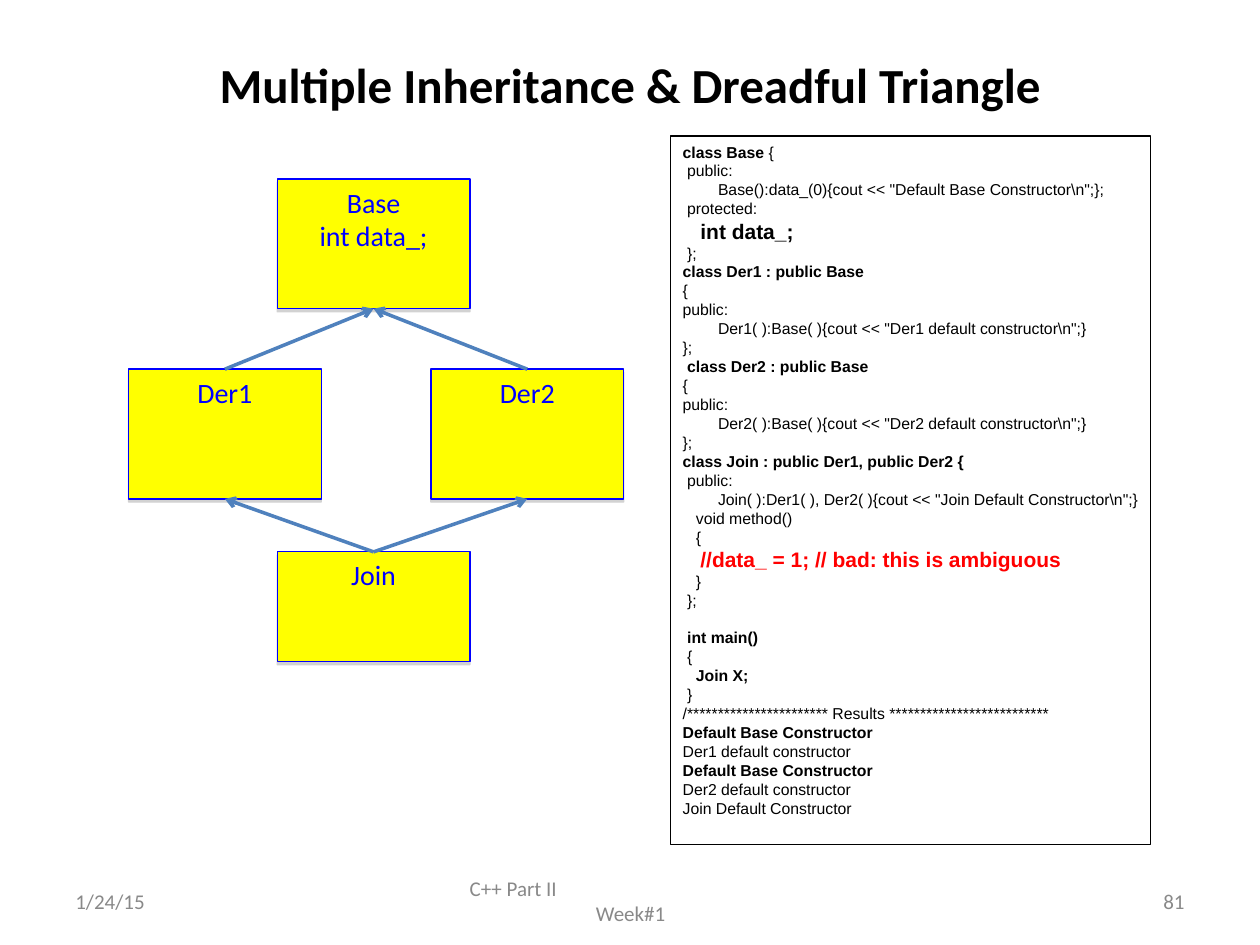
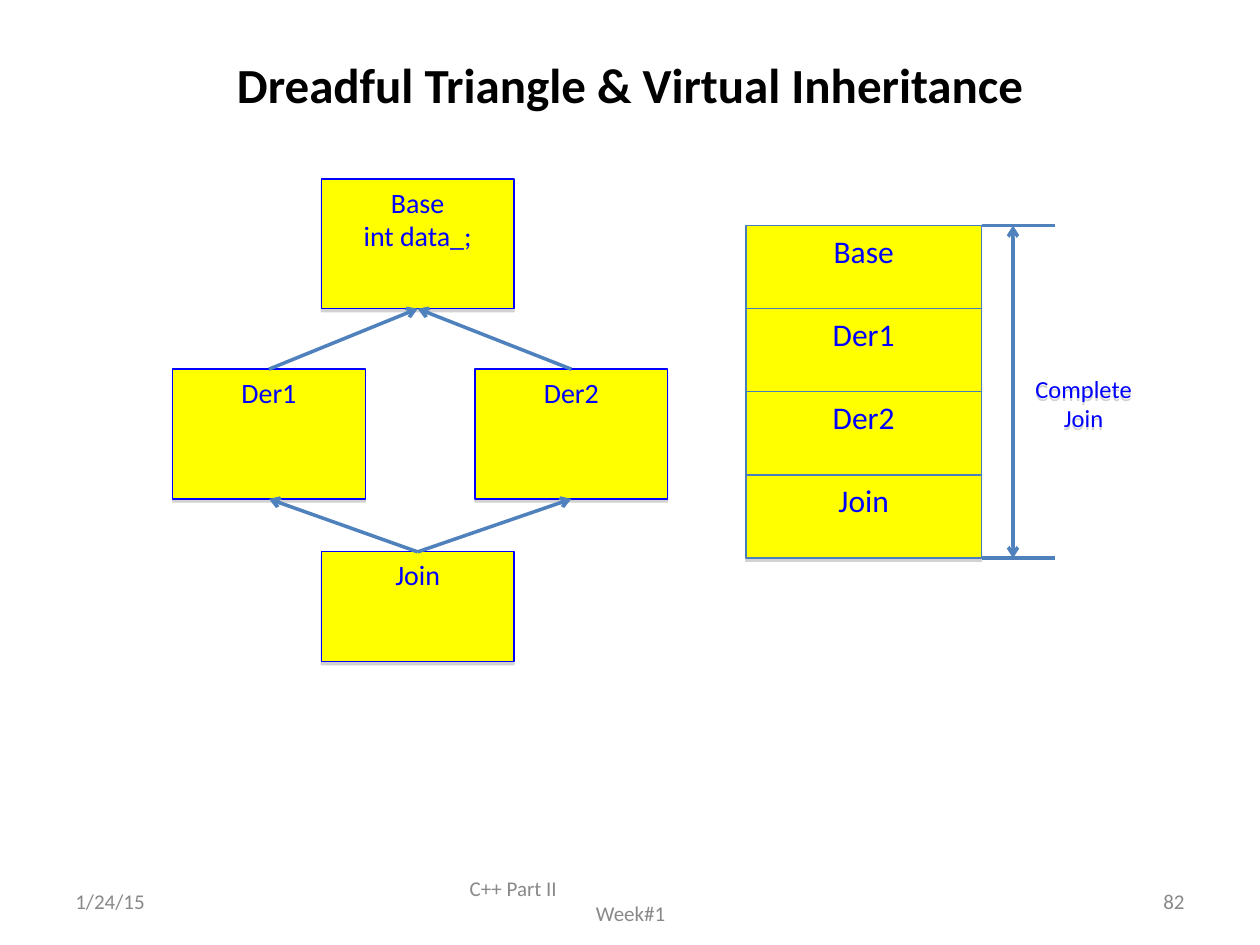
from pptx import Presentation
from pptx.dml.color import RGBColor
from pptx.enum.shapes import MSO_CONNECTOR as Link, MSO_SHAPE as Shape
from pptx.enum.text import MSO_ANCHOR as Anchor, PP_ALIGN as Align
from pptx.oxml.ns import qn
from pptx.util import Inches, Pt
from lxml.etree import SubElement as Sub

# Shared look
BLACK, BLUE, YELLOW, RED = "000000", "0000FF", "FFFF00", "FF0000"
GREY, STEEL, EDGE, SHADE = "898989", "4F81BD", "4A7EBB", "808080"
FONT, CODE_FONT = "Calibri", "Arial"

# Leading spaces become indents, a blank line becomes spacing,
# and "~" ends the bold part of a line
CODE = r"""class Base ~{
 public:
        Base():data_(0){cout << "Default Base Constructor\n";};
 protected:
   int data_;
 };
class Der1 : public Base
{
public:
        Der1( ):Base( ){cout << "Der1 default constructor\n";}
};
 class Der2 : public Base
{
public:
        Der2( ):Base( ){cout << "Der2 default constructor\n";}
};
class Join : public Der1, public Der2 {
 public:
        Join( ):Der1( ), Der2( ){cout << "Join Default Constructor\n";}
   void method()
   {
   //data_ = 1; // bad: this is ambiguous
   }
 };

 int main()
 {
   Join X;
 }
/*********************** Results **************************
Default Base Constructor
Der1 default constructor
Default Base Constructor
Der2 default constructor
Join Default Constructor"""
BIG = ("int data_", "//data_")
BOLD = BIG + ("class ", "int main", "Join X", "Default")


def rgb(code):
    return RGBColor.from_string(code)


def style(run, size, color, bold=False, name=FONT):
    font = run.font
    font.name, font.size, font.bold = name, Pt(size), bold
    font.color.rgb = rgb(color)


def write(frame, text, size, color, align=Align.CENTER, bold=False,
          anchor=Anchor.MIDDLE):
    frame.word_wrap = True
    frame.vertical_anchor = anchor
    frame.text = text
    for para in frame.paragraphs:
        para.alignment = align
        for run in para.runs:
            style(run, size, color, bold)


def label(slide, area, text, *args, **opts):
    box = slide.shapes.add_textbox(*map(Inches, area))
    write(box.text_frame, text, *args, **opts)
    return box


def shade(shape):
    """Give the shape a soft grey shadow straight below it."""
    shape.shadow.inherit = False
    effects = shape._element.spPr.find(qn("a:effectLst"))
    drop = Sub(effects, qn("a:outerShdw"), blurRad="0", dist=str(Pt(1.8)),
               dir="5400000", rotWithShape="0")
    tint = Sub(drop, qn("a:srgbClr"), val=SHADE)
    Sub(tint, qn("a:alpha"), val="35000")


def block(slide, area, text, size=16, edge=BLUE):
    box = slide.shapes.add_shape(Shape.FLOWCHART_PROCESS, *map(Inches, area))
    box.fill.solid()
    box.fill.fore_color.rgb = rgb(YELLOW)
    box.line.color.rgb = rgb(edge)
    box.line.width = Pt(0.75)
    shade(box)
    write(box.text_frame, text, size, BLUE, anchor=Anchor.TOP)
    return box


def rule(slide, ends=(0, 0, 0, 0), tips=()):
    line = slide.shapes.add_connector(Link.STRAIGHT, *map(Inches, ends))
    line.line.color.rgb = rgb(STEEL)
    line.line.width = Pt(2)
    for tip in tips:
        Sub(line.line._get_or_add_ln(), qn("a:" + tip), type="arrow")
    Sub(line._element.spPr, qn("a:effectLst"))
    return line


def derive(slide, child, parent):
    """Arrow from the top of a class to the bottom of its base."""
    line = rule(slide, tips=["tailEnd"])
    line.begin_connect(child, 0)
    line.end_connect(parent, 2)


def diamond(slide, left):
    wide, high, mid = 1.53, 1.03, left + 1.18
    der1 = block(slide, (left, 2.93, wide, high), "Der1")
    der2 = block(slide, (left + 2.4, 2.93, wide, high), "Der2")
    join = block(slide, (mid, 4.38, wide, 0.87), "Join")
    base = block(slide, (mid, 1.42, wide, high), "Base\nint data_;")
    for der in (der1, der2):
        derive(slide, join, der)
        derive(slide, der, base)


def listing(slide):
    box = slide.shapes.add_shape(Shape.RECTANGLE,
                                 *map(Inches, (5.32, 1.08, 3.81, 5.62)))
    box.fill.background()
    box.line.color.rgb = rgb(BLACK)
    box.line.width = Pt(0.75)
    box.shadow.inherit = False
    frame = box.text_frame
    frame.word_wrap = True
    frame.vertical_anchor = Anchor.TOP
    frame.margin_right = 0
    gap, para = 0, frame.paragraphs[0]
    for row in CODE.split("\n"):
        text = row.lstrip()
        if not text:
            gap = 10.5
            continue
        para = para if not para.runs else frame.add_paragraph()
        para.alignment = Align.LEFT
        para.space_before = Pt(gap)
        gap = 0
        size = 12 if text.startswith(BIG) else 9
        color = RED if text.startswith("//") else BLACK
        # A space of this font is 0.28 em wide
        indent = (len(row) - len(text)) * size * 0.28
        para._p.get_or_add_pPr().set("marL", str(Pt(indent)))
        head, _, rest = text.partition("~")
        for part, bold in ((head, text.startswith(BOLD)), (rest, False)):
            if part:
                run = para.add_run()
                run.text = part
                style(run, size, color, bold, CODE_FONT)


def layout(slide):
    """Stacked parts of a Join object with its overall extent."""
    left, top, wide, high = 5.92, 1.79, 1.87, 0.66
    names = ["Base", "Der1", "Der2", "Join"]
    for i, name in enumerate(names):
        block(slide, (left, top + i * high, wide, high), name, 18, EDGE)
    right, end = left + wide, top + len(names) * high
    for y in (top, end):
        rule(slide, (right, y, 8.37, y))
    rule(slide, (8.04, top, 8.04, end), ["headEnd", "tailEnd"])
    note = label(slide, (8.05, 2.45, 1.1, 1.5), "Complete Join", 14, BLUE)
    shade(note)


def start(deck, title, number):
    """New slide with its title and footer."""
    slide = deck.slides.add_slide(deck.slide_layouts[6])
    label(slide, (0.75, 0.25, 8.5, 0.83), title, 28, BLACK, bold=True)
    label(slide, (0.5, 6.95, 2.33, 0.4), "1/24/15", 12, GREY, Align.LEFT)
    foot = label(slide, (3.42, 6.95, 3.17, 0.4), "C++ Part II\nWeek#1",
                 12, GREY)
    first = foot.text_frame.paragraphs[0]
    first.alignment = Align.LEFT
    first._p.get_or_add_pPr().set("marL", str(Inches(0.21)))
    label(slide, (7.17, 6.95, 2.33, 0.4), str(number), 12, GREY, Align.RIGHT)
    return slide


def main():
    deck = Presentation()
    deck.slide_width, deck.slide_height = Inches(10), Inches(7.5)

    # Ambiguous base
    slide = start(deck, "Multiple Inheritance & Dreadful Triangle", 81)
    diamond(slide, 1.02)
    listing(slide)

    # Object layout
    slide = start(deck, "Dreadful Triangle & Virtual Inheritance", 82)
    diamond(slide, 1.37)
    layout(slide)

    deck.save("out.pptx")


if __name__ == "__main__":
    main()
